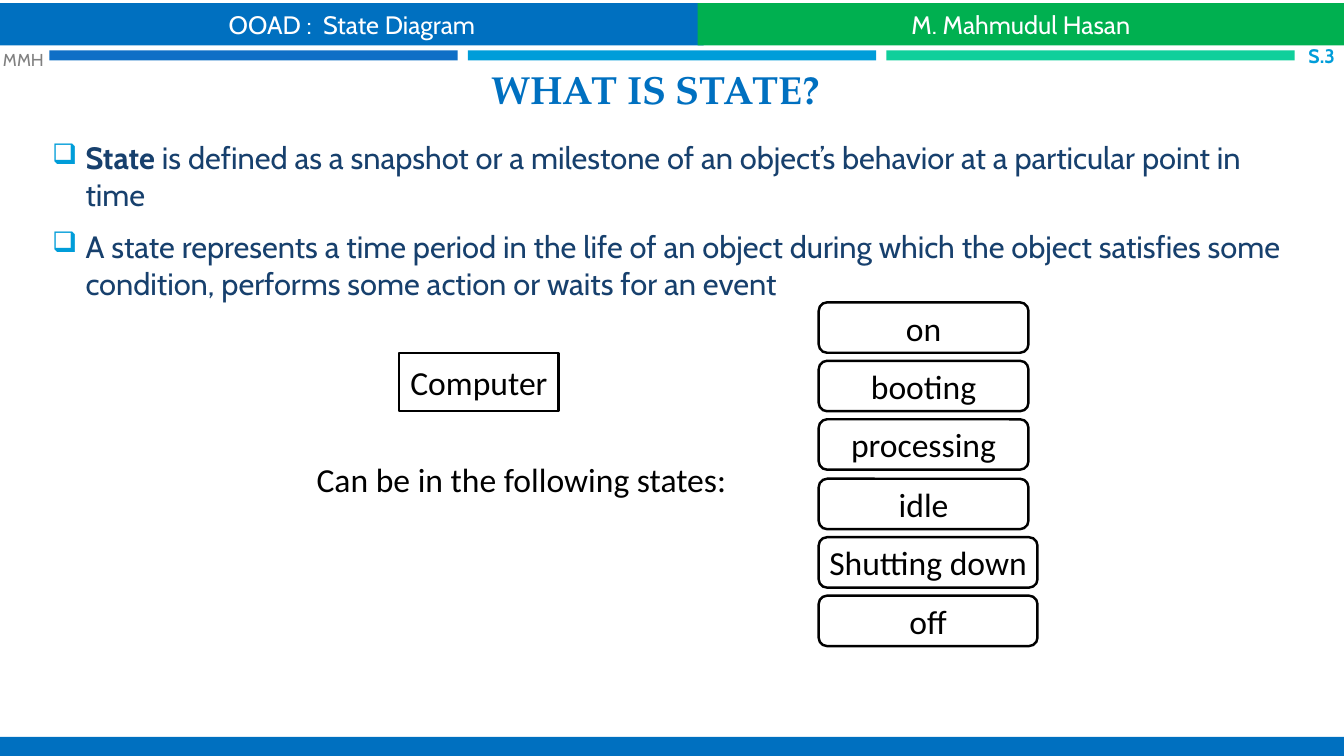
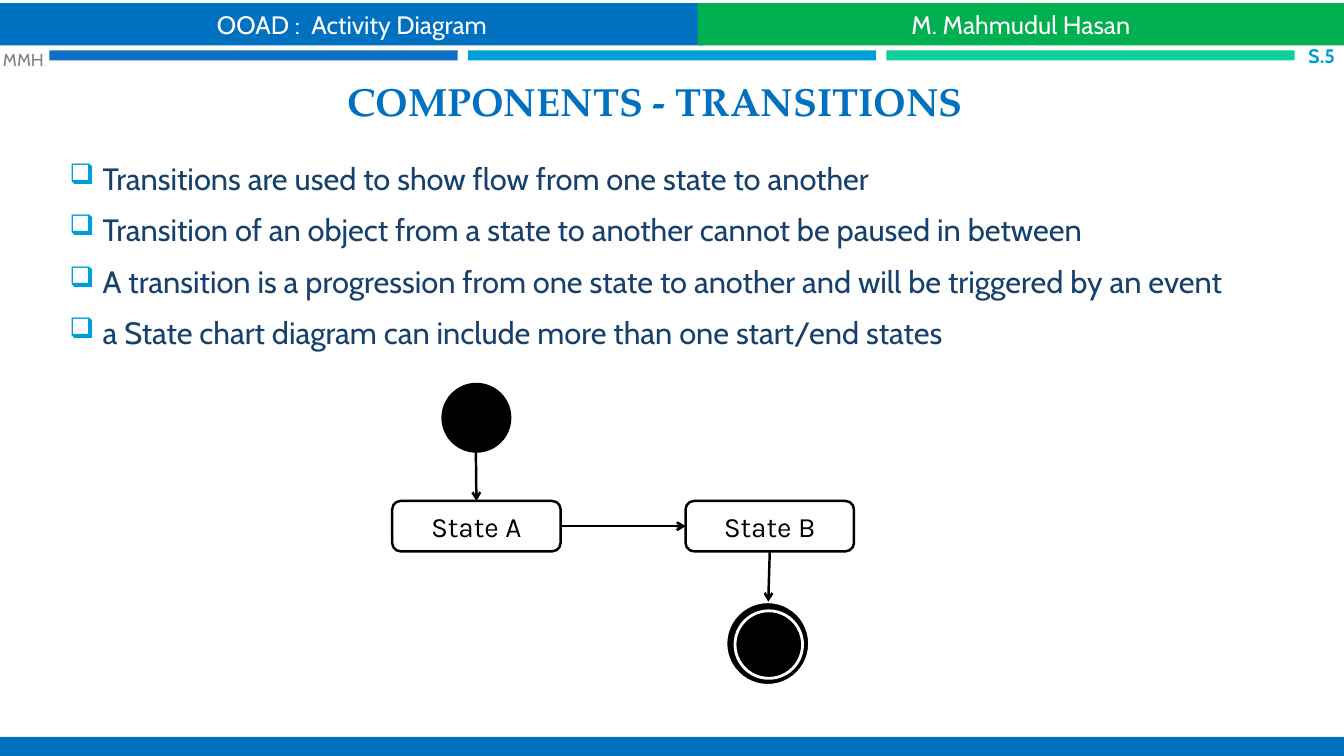
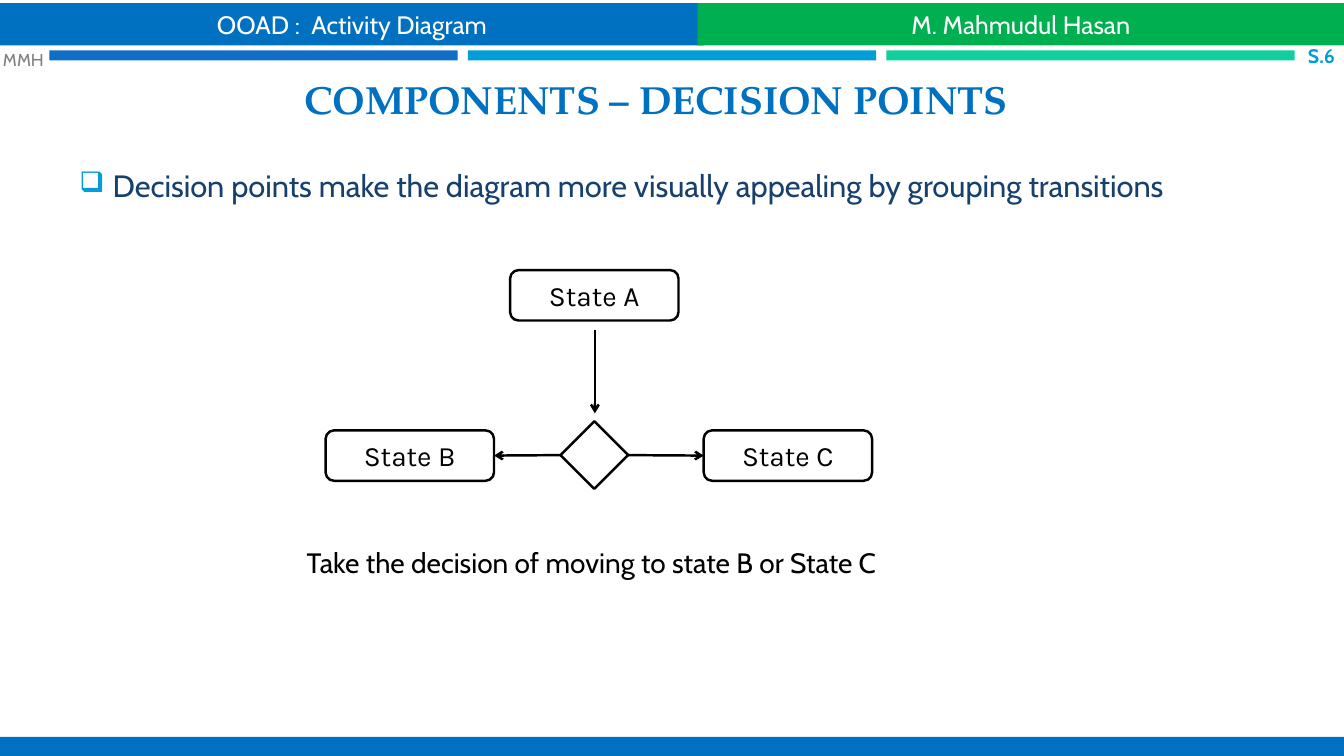
from dataclasses import dataclass
from typing import NamedTuple

from lxml.etree import SubElement
from pptx import Presentation
from pptx.dml.color import RGBColor
from pptx.enum.shapes import MSO_CONNECTOR as Connector, MSO_SHAPE as Preset
from pptx.enum.text import MSO_ANCHOR as Anchor, PP_ALIGN as Align
from pptx.oxml.ns import qn
from pptx.util import Pt

EMU_PER_PX = 9144
TOP, LEFT, BOTTOM, RIGHT = range(4)


@dataclass(frozen=True)
class Theme:
    """Colours, fonts and type sizes shared by the deck."""
    blue: str = "0070C0"
    green: str = "00B050"
    royal: str = "0F6FC6"
    sky: str = "009DD9"
    mint: str = "10CF9B"
    navy: str = "17406D"
    grey: str = "808080"
    black: str = "000000"
    white: str = "FFFFFF"
    title_font: str = "TeX Gyre Pagella"
    body_font: str = "Cabin"
    object_font: str = "Calibri"
    state_font: str = "Karla"
    title_size: float = 28
    body_size: float = 22
    object_size: float = 24
    state_size: float = 20
    header_size: float = 18
    number_size: float = 14
    initials_size: float = 12.3
    stroke: float = 1.75
    ring_stroke: float = 2


THEME = Theme()


class Box(NamedTuple):
    """A rectangle in px."""
    left: int
    top: int
    width: int
    height: int

    def inner(self, left, top, width, height):
        """Return a box placed relative to this one."""
        return Box(self.left + left, self.top + top, width, height)

    def point(self, left, top):
        """Return a point placed relative to this box."""
        return self.left + left, self.top + top


def px(*lengths):
    """Turn px lengths into EMU."""
    return [length * EMU_PER_PX for length in lengths]


def write(para, text, *, size, font=THEME.body_font, color=THEME.black, bold=False):
    """Add a formatted span of text to a paragraph."""
    span = para.add_run()
    span.text = text
    span.font.name = font
    span.font.size = Pt(size)
    span.font.bold = bold
    span.font.color.rgb = RGBColor.from_string(color)


def open_frame(shape, anchor=Anchor.MIDDLE, wrap=True, inset=None):
    """Set up the text frame of a shape and return it."""
    frame = shape.text_frame
    frame.word_wrap = wrap
    frame.vertical_anchor = anchor
    if inset is not None:
        frame.margin_left = frame.margin_right = inset
        frame.margin_top = frame.margin_bottom = inset
    return frame


def add_label(page, box, text, align=Align.LEFT, anchor=Anchor.MIDDLE, inset=0, **style):
    """Add a text box with one line of text."""
    label = page.shapes.add_textbox(*px(*box))
    para = open_frame(label, anchor, inset=inset).paragraphs[0]
    para.alignment = align
    write(para, text, **style)


def add_figure(shapes, box, preset=Preset.RECTANGLE, fill=THEME.white, line=None,
               stroke=THEME.stroke, text="", wrap=False, **style):
    """Add a preset shape with optional outline and centred text."""
    figure = shapes.add_shape(preset, *px(*box))
    figure.shadow.inherit = False
    figure.fill.solid()
    figure.fill.fore_color.rgb = RGBColor.from_string(fill)
    if line:
        figure.line.color.rgb = RGBColor.from_string(line)
        figure.line.width = Pt(stroke)
    else:
        figure.line.fill.background()
    if text:
        para = open_frame(figure, wrap=wrap).paragraphs[0]
        para.alignment = Align.CENTER
        write(para, text, **style)
    return figure


def add_state(page, box, text, size=THEME.state_size, font=THEME.state_font):
    """Add a rounded state node."""
    return add_figure(page.shapes, box, Preset.ROUNDED_RECTANGLE, line=THEME.black,
                      text=text, size=size, font=font)


def add_arrow(page, start, end, source=None, target=None):
    """Add an arrow, glued to a (shape, side) pair where one is given."""
    arrow = page.shapes.add_connector(Connector.STRAIGHT, *px(*start, *end))
    if source:
        arrow.begin_connect(*source)
    if target:
        arrow.end_connect(*target)
    arrow.line.color.rgb = RGBColor.from_string(THEME.black)
    arrow.line.width = Pt(THEME.stroke)
    props = arrow._element.spPr
    SubElement(props.find(qn("a:ln")), qn("a:tailEnd"), type="arrow")
    SubElement(props, qn("a:effectLst"))


def add_bullet(para):
    """Give a paragraph the hollow square bullet and its hanging indent."""
    props = para._p.get_or_add_pPr()
    indent = px(33)[0]
    props.set("marL", str(indent))
    props.set("indent", str(-indent))
    color = SubElement(props, qn("a:buClr"))
    SubElement(color, qn("a:srgbClr"), val=THEME.sky)
    SubElement(props, qn("a:buSzPct"), val="92000")
    SubElement(props, qn("a:buChar"), char="❑")


def add_body(page, box, items):
    """Add the bulleted text, each item a (bold lead, rest) pair."""
    body = page.shapes.add_textbox(*px(*box))
    frame = open_frame(body)
    for index, (lead, rest) in enumerate(items):
        para = frame.add_paragraph() if index else frame.paragraphs[0]
        add_bullet(para)
        para.space_before = Pt(4.4 if index else 0)
        para.space_after = Pt(6)
        for text, bold in ((lead, True), (rest, False)):
            if text:
                write(para, text, size=THEME.body_size, color=THEME.navy, bold=bold)


def add_header(page, box, topic, number):
    """Add the two header bands, the three bars and the slide number."""
    for left, width, fill, text in ((0, 698, THEME.blue, f"OOAD :  {topic}"),
                                    (692, 641, THEME.green, "M. Mahmudul Hasan")):
        add_figure(page.shapes, box.inner(left, 0, width, 42), fill=fill, text=text, wrap=True,
                   size=THEME.header_size, color=THEME.white)
    for index, fill in enumerate((THEME.royal, THEME.sky, THEME.mint)):
        add_figure(page.shapes, box.inner(49 + 415 * index, 47, 405, 10), fill=fill)
    add_label(page, box.inner(3, 41, 50, 30), "MMH",
              size=THEME.initials_size, color=THEME.grey)
    add_label(page, box.inner(1274, 42, 50, 21), f"S.{number}", Align.RIGHT,
              size=THEME.number_size, color=THEME.sky, bold=True)


def add_page(deck, topic, number, title, title_box):
    """Add a slide with its header, title and footer band."""
    page = deck.slides.add_slide(deck.slide_layouts[6])
    add_header(page, Box(0, 3, 1333, 60), topic, number)
    add_figure(page.shapes, Box(0, 731, 1333, 24), fill=THEME.blue)
    add_label(page, title_box, title, Align.CENTER, Anchor.BOTTOM, inset=px(5)[0],
              size=THEME.title_size, font=THEME.title_font, color=THEME.blue, bold=True)
    return page


def add_computer_states(page, box):
    """Add the computer and the column of states it can be in."""
    style = dict(size=THEME.object_size, font=THEME.object_font)
    add_figure(page.shapes, box.inner(92, 50, 158, 58), line=THEME.black,
               text="Computer", **style)
    add_label(page, box.inner(10, 150, 423, 50), "Can be in the following states:", **style)
    states = ("on", "booting", "processing", "idle", "Shutting down", "off")
    for index, state in enumerate(states):
        width = 208 if index < 4 else 217
        add_state(page, box.inner(508, round(58.2 * index), width, 50), state, **style)


def add_transitions(page, box):
    """Add the flow from the start node through two states to the end node."""
    add_figure(page.shapes, box.inner(50, 0, 67, 67), Preset.OVAL, THEME.black, THEME.black)
    state_a, state_b = (add_state(page, box.inner(left, 116, 167, 50), text)
                        for left, text in ((0, "State A"), (291, "State B")))
    end_node = page.shapes.add_group_shape().shapes
    for left, top, size in ((331, 216, 83), (340, 225, 67)):
        add_figure(end_node, box.inner(left, top, size, size), Preset.OVAL, THEME.black,
                   THEME.white, THEME.ring_stroke)
    add_arrow(page, box.point(83, 67), box.point(83, 116), target=(state_a, TOP))
    add_arrow(page, box.point(167, 141), box.point(291, 141), (state_a, RIGHT), (state_b, LEFT))
    add_arrow(page, box.point(375, 166), box.point(373, 216), source=(state_b, BOTTOM))


def add_decision(page, box):
    """Add the decision point between three states and its caption."""
    add_state(page, box.inner(183, 0, 167, 50), "State A")
    state_b, state_c = (add_state(page, box.inner(left, 159, 167, 50), text)
                        for left, text in ((0, "State B"), (375, "State C")))
    choice = add_figure(page.shapes, box.inner(233, 150, 67, 67), Preset.DIAMOND,
                        line=THEME.black)
    add_arrow(page, box.point(267, 59), box.point(267, 142))
    add_arrow(page, box.point(233, 184), box.point(167, 184), (choice, LEFT), (state_b, RIGHT))
    add_arrow(page, box.point(300, 184), box.point(375, 184), (choice, RIGHT), (state_c, LEFT))
    add_label(page, box.inner(-19, 264, 741, 52),
              "Take the decision of moving to state B or State C", size=THEME.state_size)


def build_state_page(deck):
    """Build the slide that defines a state."""
    page = add_page(deck, "State Diagram", 3, "WHAT IS STATE?", Box(47, 59, 1206, 57))
    add_body(page, Box(42, 137, 1253, 163), (
        ("State", " is defined as a snapshot or a milestone of an object’s behavior"
                  " at a particular point in time"),
        ("", "A state represents a time period in the life of an object during which"
             " the object satisfies some condition, performs some action or waits for an event"),
    ))
    add_computer_states(page, Box(304, 300, 725, 341))


def build_transition_page(deck):
    """Build the slide about transitions."""
    page = add_page(deck, "Activity Diagram", 5, "COMPONENTS - TRANSITIONS",
                    Box(47, 64, 1206, 64))
    add_body(page, Box(59, 132, 1227, 242), (
        ("", "Transitions are used to show flow from one state to another"),
        ("", "Transition of an object from a state to another cannot be paused in between"),
        ("", "A transition is a progression from one state to another"
             " and will be triggered by an event"),
        ("", "a State chart diagram can include more than one start/end states"),
    ))
    add_transitions(page, Box(389, 381, 458, 299))


def build_decision_page(deck):
    """Build the slide about decision points."""
    page = add_page(deck, "Activity Diagram", 6, "COMPONENTS – DECISION POINTS",
                    Box(48, 64, 1206, 62))
    add_body(page, Box(69, 144, 1227, 80), (
        ("", "Decision points make the diagram more visually appealing by grouping transitions"),
    ))
    add_decision(page, Box(323, 268, 542, 316))


def main():
    """Build and save the deck."""
    deck = Presentation()
    deck.slide_width, deck.slide_height = px(1333, 750)
    for build in (build_state_page, build_transition_page, build_decision_page):
        build(deck)
    deck.save("out.pptx")


if __name__ == "__main__":
    main()
